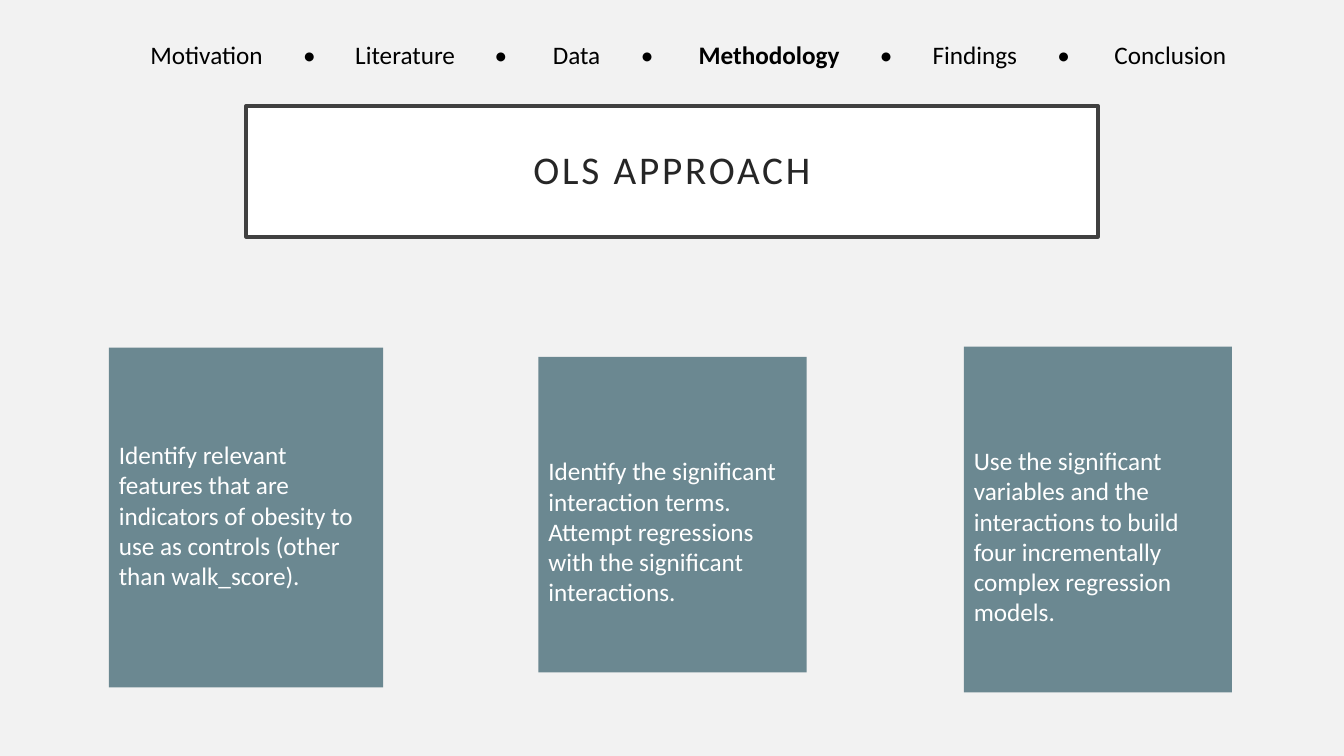
"""Build the OLS approach slide with a section bar and three step cards."""
from lxml.etree import SubElement
from pptx import Presentation
from pptx.dml.color import RGBColor
from pptx.enum.shapes import MSO_SHAPE
from pptx.enum.text import MSO_ANCHOR, PP_ALIGN
from pptx.oxml.ns import qn
from pptx.util import Inches, Pt

COLORS = {"back": "F2F2F2", "card": "6B8891", "white": "FFFFFF",
          "frame": "404040", "title": "262626", "nav": "000000"}
FONT = "Calibri"
TITLE = "OLS APPROACH"
CURRENT = "Methodology"
NAV_BOX = (0.88, 0.34, 11.92, 0.4)
NAV = [("Motivation", 2.05), ("•", 3.07), ("Literature", 4.02), ("•", 4.97),
       ("Data", 5.72), ("•", 6.42), (CURRENT, 7.63), ("•", 8.79),
       ("Findings", 9.67), ("•", 10.55), ("Conclusion", 11.61)]
CARDS = [
    ((1.08, 3.45, 2.72, 3.37), 0.91,
     ["Identify relevant features that are indicators of obesity to use "
      "as controls (other than walk_score)."]),
    ((5.34, 3.54, 2.66, 3.13), 0.98,
     ["Identify the significant interaction terms.",
      "Attempt regressions with the significant interactions."]),
    ((9.56, 3.44, 2.66, 3.43), 0.98,
     ["Use the significant variables and the interactions to build four "
      "incrementally complex regression models."]),
]
INSET = 0.1


def color(name):
    return RGBColor.from_string(COLORS[name])


def paint(shape, name):
    shape.fill.solid()
    shape.fill.fore_color.rgb = color(name)


def style(run, size, name, bold=False):
    font = run.font
    font.name, font.size, font.bold = FONT, Pt(size), bold
    font.color.rgb = color(name)


def add_title(slide):
    title = slide.shapes.title
    title.left, title.top = Inches(2.44), Inches(1.05)
    title.width, title.height = Inches(8.45), Inches(1.3)
    paint(title, "white")
    title.line.color.rgb = color("frame")
    title.line.width = Pt(2.5)
    frame = title.text_frame
    frame.text = TITLE
    frame.vertical_anchor = MSO_ANCHOR.MIDDLE
    para = frame.paragraphs[0]
    para.alignment = PP_ALIGN.CENTER
    para.line_spacing = 0.9
    run = para.runs[0]
    style(run, 28, "title")
    run.font._element.set("spc", "200")


def add_nav(slide):
    box = slide.shapes.add_textbox(*map(Inches, NAV_BOX))
    frame = box.text_frame
    frame.word_wrap = True
    frame.margin_left = Inches(INSET)
    para = frame.paragraphs[0]
    para.alignment = PP_ALIGN.LEFT
    tabs = SubElement(para._p.get_or_add_pPr(), qn("a:tabLst"))
    for label, center in NAV:
        stop = Inches(center - NAV_BOX[0] - INSET)
        SubElement(tabs, qn("a:tab"), pos=str(int(stop)), algn="ctr")
        run = para.add_run()
        run.text = "\t" + label
        style(run, 18, "nav", label == CURRENT)


def add_card(slide, place, top, lines):
    card = slide.shapes.add_shape(MSO_SHAPE.RECTANGLE, *map(Inches, place))
    card.shadow.inherit = False
    paint(card, "card")
    card.line.fill.background()
    frame = card.text_frame
    frame.word_wrap = True
    frame.vertical_anchor = MSO_ANCHOR.TOP
    frame.margin_top = Inches(top)
    frame.text = "\n".join(lines)
    for para in frame.paragraphs:
        para.alignment = PP_ALIGN.LEFT
        style(para.runs[0], 18, "white")


def main():
    deck = Presentation()
    deck.slide_width, deck.slide_height = Inches(13.33), Inches(7.5)
    slide = deck.slides.add_slide(deck.slide_layouts[5])
    paint(slide.background, "back")
    add_title(slide)
    add_nav(slide)
    for card in CARDS:
        add_card(slide, *card)
    deck.save("out.pptx")


if __name__ == "__main__":
    main()
